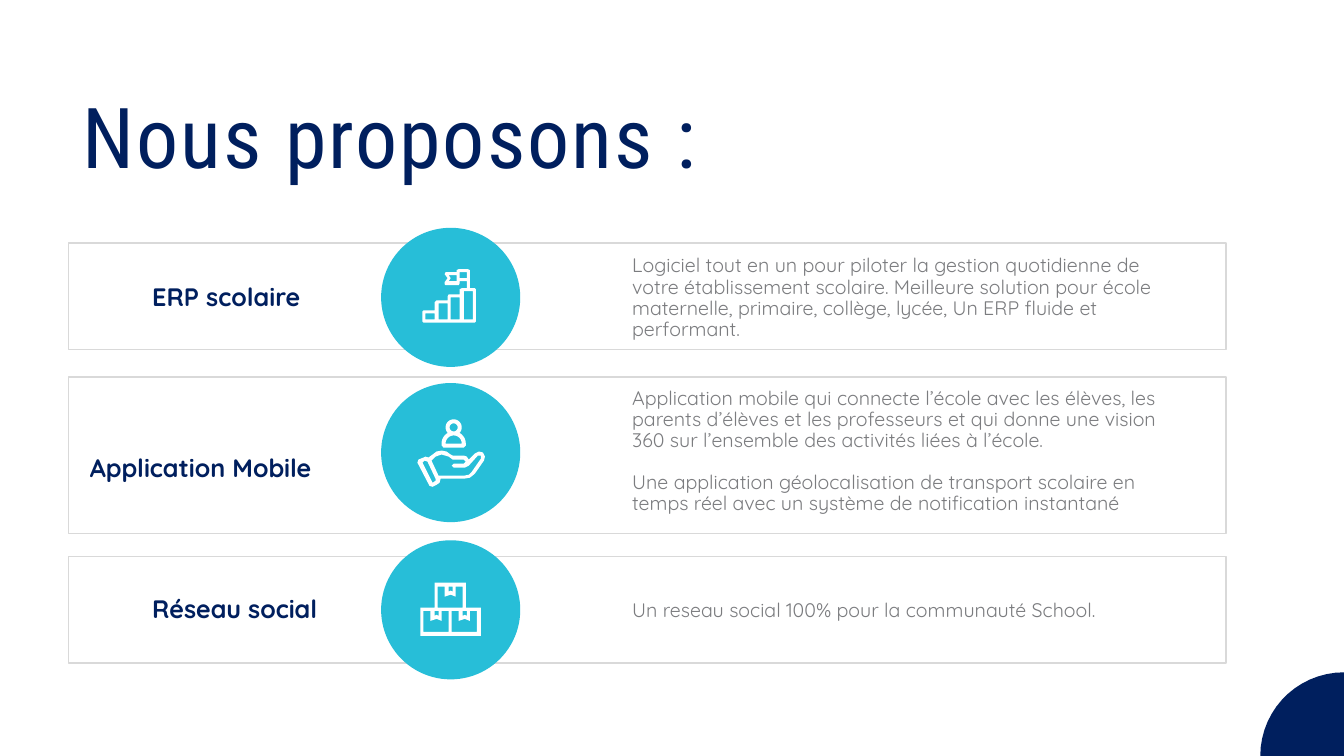
import math
from dataclasses import dataclass

from pptx import Presentation, util as u
from pptx.dml import color
from pptx.enum import shapes, text
from pptx.shapes import autoshape
from pptx.slide import Slide
from pptx.text import text as pptx_text

COLORS = {
    "navy": "001F5E",
    "cyan": "27BED8",
    "gray": "7B7C7F",
    "border": "D9D9D9",
    "white": "FFFFFF",
}
Point = tuple[float, float]
Contour = list[Point]
CARD_LEFT, CARD_WIDTH = 0.68, 11.48
CIRCLE_LEFT, CIRCLE_SIZE = 3.78, 1.38
DETAIL_LEFT, DETAIL_WIDTH = 6.1, 5.56
LIST_INDENT = 0.17


@dataclass(frozen=True)
class TextStyle:
    font: str
    size: float
    color: str
    bold: bool = False
    inset: float = 0
    indent: float = LIST_INDENT
    anchor: text.MSO_ANCHOR = text.MSO_ANCHOR.MIDDLE


TITLE = TextStyle("Roboto Condensed", 60, "navy", inset=0.1, indent=0,
                  anchor=text.MSO_ANCHOR.TOP)
LABEL = TextStyle("Quicksand", 18, "navy", bold=True)
DETAIL = TextStyle("Quicksand", 14, "gray")


@dataclass(frozen=True)
class Box:
    left: float
    top: float
    width: float
    height: float

    def lengths(self) -> list[u.Length]:
        return [u.Inches(v) for v in (self.left, self.top, self.width, self.height)]


@dataclass(frozen=True)
class Offer:
    card_top: float
    card_height: float
    circle_top: float
    label: str
    label_box: Box
    details: list[str]
    detail_top: float
    detail_height: float
    icon: list[list[Contour]]


def rgb(name: str) -> color.RGBColor:
    return color.RGBColor.from_string(COLORS[name])


def rectangle(left: float, top: float, right: float, bottom: float) -> Contour:
    return [(left, top), (right, top), (right, bottom), (left, bottom)]


def arc(x: float, y: float, radius: float, start: int, end: int) -> Contour:
    steps = max(4, (end - start) // 6)
    angles = [math.radians(start + (end - start) * i / steps) for i in range(steps + 1)]
    return [(x + radius * math.cos(a), y + radius * math.sin(a)) for a in angles]


def stairs_icon() -> list[Contour]:
    outline = [
        (4.72, 2.87), (4.71, 2.86), (4.66, 2.86), (4.66, 2.68), (4.64, 2.67),
        (4.55, 2.67), (4.53, 2.68), (4.53, 2.7), (4.42, 2.7), (4.41, 2.72),
        (4.44, 2.76), (4.41, 2.8), (4.41, 2.82), (4.42, 2.83), (4.55, 2.83),
        (4.56, 2.81), (4.56, 2.79), (4.63, 2.79), (4.63, 2.86), (4.58, 2.86),
        (4.56, 2.87), (4.56, 2.92), (4.45, 2.92), (4.44, 2.94), (4.44, 2.98),
        (4.33, 2.98), (4.31, 3), (4.31, 3.08), (4.2, 3.08), (4.19, 3.09),
        (4.19, 3.19), (4.2, 3.2), (4.71, 3.2), (4.72, 3.19),
    ]
    flag = [(4.53, 2.79), (4.45, 2.79), (4.47, 2.76), (4.45, 2.73), (4.53, 2.73)]
    bars = [(4.22, 3.11), (4.35, 3.01), (4.47, 2.95), (4.6, 2.89)]
    return [outline, flag, rectangle(4.56, 2.7, 4.63, 2.76),
            *(rectangle(left, top, left + 0.09, 3.17) for left, top in bars)]


def hand_icon() -> list[Contour]:
    outline = [
        (4.79, 4.49), (4.75, 4.48), (4.71, 4.5), (4.65, 4.56), (4.63, 4.53),
        (4.6, 4.52), (4.49, 4.52), (4.47, 4.51), (4.43, 4.48), (4.38, 4.47),
        (4.33, 4.48), (4.29, 4.51), (4.25, 4.54), (4.22, 4.53), (4.2, 4.54),
        (4.15, 4.56), (4.14, 4.59), (4.26, 4.82), (4.29, 4.83), (4.33, 4.81),
        (4.36, 4.79), (4.37, 4.75), (4.6, 4.75), (4.66, 4.74), (4.71, 4.7),
        (4.8, 4.57), (4.81, 4.53),
    ]
    cuff = [(4.32, 4.77), (4.29, 4.79), (4.19, 4.59), (4.21, 4.57),
            (4.24, 4.58), (4.32, 4.75)]
    palm = [
        (4.77, 4.55), (4.68, 4.68), (4.65, 4.71), (4.6, 4.72), (4.35, 4.72),
        (4.28, 4.57), (4.32, 4.53), (4.38, 4.51), (4.45, 4.53), (4.49, 4.56),
        (4.6, 4.56), (4.62, 4.58), (4.6, 4.6), (4.5, 4.6), (4.48, 4.62),
        (4.5, 4.64), (4.61, 4.64), (4.65, 4.62), (4.74, 4.52), (4.77, 4.52),
    ]
    return [outline, cuff, palm]


def person_icon() -> list[Contour]:
    outline = [
        (4.38, 4.42), *arc(4.5, 4.4, 0.12, 180, 240),
        *arc(4.5, 4.24, 0.08, 135, 405), *arc(4.5, 4.4, 0.12, 300, 360),
        (4.62, 4.42), (4.6, 4.44), (4.4, 4.44),
    ]
    return [outline, arc(4.5, 4.24, 0.04, 0, 360), arc(4.5, 4.4, 0.08, 180, 360)]


def boxes_icon() -> list[Contour]:
    contours = [[(4.62, 6.03), (4.62, 5.78), (4.31, 5.78), (4.31, 6.03),
                 (4.17, 6.03), (4.17, 6.31), (4.77, 6.31), (4.77, 6.03)]]
    hollow = [(0, 0), (0.07, 0), (0.07, 0.1), (0.13, 0.08), (0.18, 0.1),
              (0.18, 0), (0.25, 0), (0.25, 0.21), (0, 0.21)]
    ribbon = [(0.11, 0), (0.15, 0), (0.15, 0.05), (0.13, 0.04), (0.11, 0.05)]
    for left, top in [(4.34, 5.82), (4.2, 6.06), (4.48, 6.06)]:
        for pattern in (hollow, ribbon):
            contours.append([(left + x, top + y) for x, y in pattern])
    return contours


OFFERS = [
    Offer(2.41, 1.06, 2.26, "ERP scolaire", Box(1.34, 2.76, 2.5, 0.4),
          ["Logiciel tout en un pour piloter la gestion quotidienne de votre "
           "établissement scolaire. Meilleure solution pour école maternelle, "
           "primaire, collège, lycée, Un ERP fluide et performant."],
          2.46, 1, [stairs_icon()]),
    Offer(3.74, 1.55, 3.8, "Application Mobile", Box(0.72, 4.09, 3.28, 1.14),
          ["Application mobile qui connecte l’école avec les élèves, les parents "
           "d’élèves et les professeurs et qui donne une vision 360 sur "
           "l’ensemble des activités liées à l’école.",
           "Une application géolocalisation de transport scolaire en temps réel "
           "avec un système de notification instantané"],
          3.88, 1.2, [hand_icon(), person_icon()]),
    Offer(5.52, 1.06, 5.36, "Réseau social", Box(1.34, 5.86, 2.5, 0.4),
          ["Un reseau social 100% pour la communauté School."],
          5.86, 0.4, [boxes_icon()]),
]


def paint(shape: autoshape.Shape, fill: str) -> None:
    shape.shadow.inherit = False
    shape.fill.solid()
    shape.fill.fore_color.rgb = rgb(fill)
    shape.line.fill.background()


def add_outline(slide: Slide, contours: list[Contour], fill: str) -> None:
    scaled = [[(u.Inches(x), u.Inches(y)) for x, y in contour] for contour in contours]
    builder = slide.shapes.build_freeform(*scaled[0][0])
    builder.add_line_segments(scaled[0][1:], close=True)
    for contour in scaled[1:]:
        builder.move_to(*contour[0])
        builder.add_line_segments(contour[1:], close=True)
    paint(builder.convert_to_shape(), fill)


def add_card(slide: Slide, box: Box) -> None:
    card = slide.shapes.add_shape(shapes.MSO_SHAPE.RECTANGLE, *box.lengths())
    card.shadow.inherit = False
    card.fill.background()
    card.line.color.rgb = rgb("border")
    card.line.width = u.Pt(1)


def add_text(slide: Slide, box: Box, lines: list[str],
             style: TextStyle) -> pptx_text.TextFrame:
    frame = slide.shapes.add_textbox(*box.lengths()).text_frame
    frame.word_wrap = True
    frame.vertical_anchor = style.anchor
    frame.margin_left = frame.margin_right = u.Inches(style.inset)
    frame.margin_top = frame.margin_bottom = u.Inches(style.inset)
    frame.text = "\n".join(lines)
    for index, paragraph in enumerate(frame.paragraphs):
        properties = paragraph._p.get_or_add_pPr()
        properties.set("marL", str(u.Inches(style.indent)))
        properties.set("indent", "0")
        paragraph.line_spacing = 0.9
        if index:
            paragraph.space_before = u.Pt(15)
        paragraph.font.name = style.font
        paragraph.font.size = u.Pt(style.size)
        paragraph.font.bold = style.bold
        paragraph.font.color.rgb = rgb(style.color)
    return frame


def main() -> None:
    presentation = Presentation()
    presentation.slide_width, presentation.slide_height = u.Inches(13.33), u.Inches(7.5)
    slide = presentation.slides.add_slide(presentation.slide_layouts[6])
    add_outline(slide, [[(13.33, 7.5), *arc(13.33, 7.5, 0.83, 180, 270)]], "navy")
    for offer in OFFERS:
        add_card(slide, Box(CARD_LEFT, offer.card_top, CARD_WIDTH, offer.card_height))
    for offer in OFFERS:
        circle_box = Box(CIRCLE_LEFT, offer.circle_top, CIRCLE_SIZE, CIRCLE_SIZE)
        paint(slide.shapes.add_shape(shapes.MSO_SHAPE.OVAL, *circle_box.lengths()), "cyan")
        for contours in offer.icon:
            add_outline(slide, contours, "white")
        detail_box = Box(DETAIL_LEFT, offer.detail_top, DETAIL_WIDTH, offer.detail_height)
        add_text(slide, detail_box, offer.details, DETAIL)
        add_text(slide, offer.label_box, [offer.label], LABEL)
    title = add_text(slide, Box(0.72, 0.85, 9.03, 1.11), ["Nous proposons :"], TITLE)
    title.paragraphs[0].runs[0]._r.get_or_add_rPr().set("spc", "150")
    presentation.save("out.pptx")


if __name__ == "__main__":
    main()
